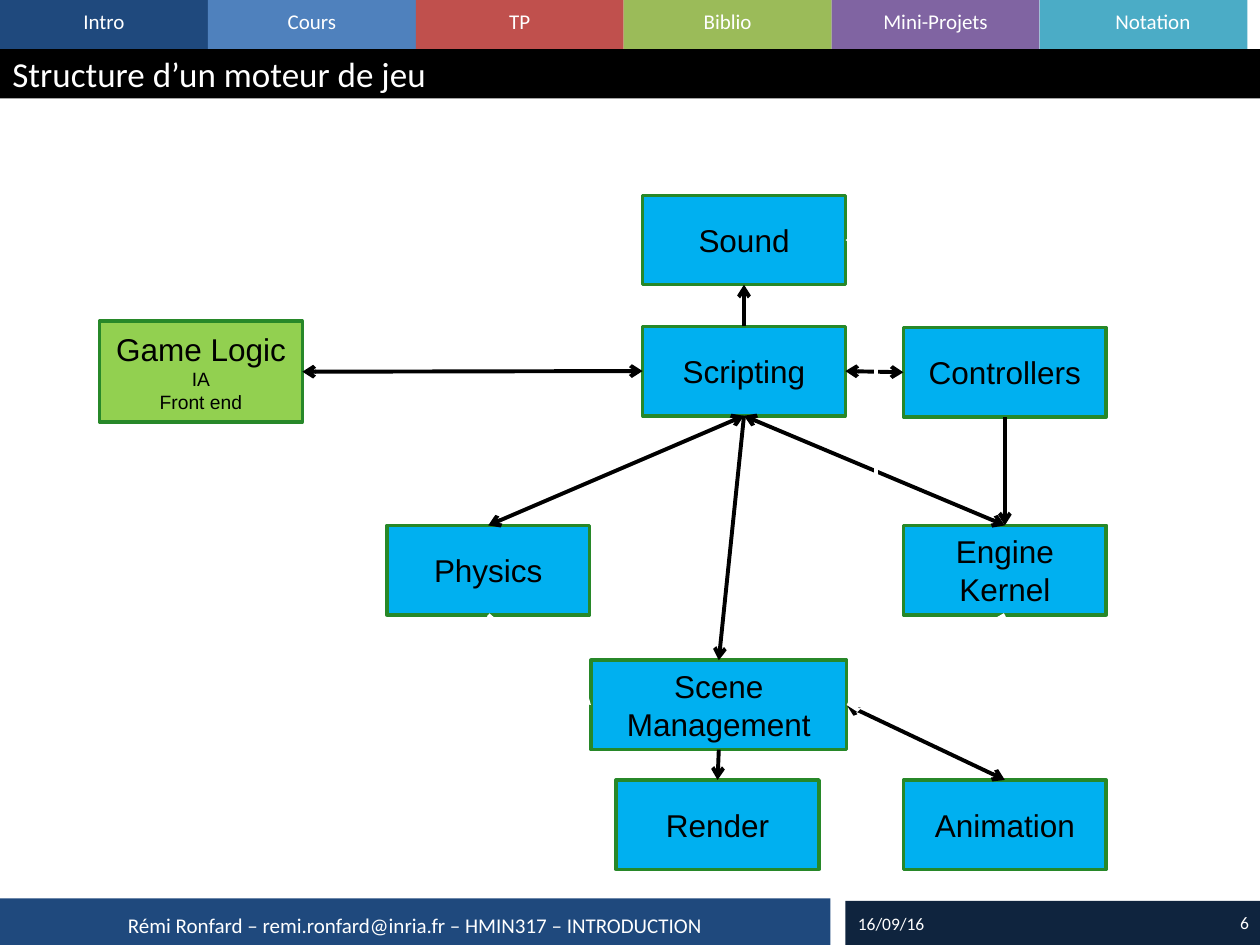
from lxml.etree import SubElement
from pptx import Presentation
from pptx.dml.color import RGBColor
from pptx.enum.shapes import MSO_CONNECTOR, MSO_SHAPE
from pptx.enum.text import MSO_ANCHOR, PP_ALIGN
from pptx.oxml.ns import qn
from pptx.util import Inches, Pt


def color(value):
    return RGBColor.from_string(value)


def write(shape, text, sizes=(12,), font="Calibri", ink="FFFFFF",
          align=PP_ALIGN.CENTER, anchor=MSO_ANCHOR.MIDDLE):
    frame = shape.text_frame
    frame.word_wrap = True
    frame.vertical_anchor = anchor
    for index, line in enumerate(text.split("\n")):
        paragraph = frame.paragraphs[0] if index == 0 else frame.add_paragraph()
        paragraph.text = line
        paragraph.alignment = align
        paragraph.font.name = font
        paragraph.font.size = Pt(sizes[min(index, len(sizes) - 1)])
        paragraph.font.color.rgb = color(ink)


presentation = Presentation()
presentation.slide_width = Inches(10)
presentation.slide_height = Inches(7.5)
slide = presentation.slides.add_slide(presentation.slide_layouts[6])
shapes = slide.shapes

TAB_WIDTH = 1.65
tabs = [
    ("Intro", "1F497D"),
    ("Cours", "4F81BD"),
    ("TP", "C0504D"),
    ("Biblio", "9BBB59"),
    ("Mini-Projets", "8064A2"),
    ("Notation", "4BACC6"),
]
bands = [(index * TAB_WIDTH, 0, TAB_WIDTH, 0.39, fill) for index, (_, fill) in enumerate(tabs)]
bands += [
    (0, 0.39, 10, 0.39, "000000"),
    (0, 7.13, 6.59, 0.37, "1F497D"),
    (6.71, 7.15, 3.29, 0.35, "0F243E"),
]
for left, top, width, height, fill in bands:
    band = shapes.add_shape(MSO_SHAPE.RECTANGLE, Inches(left), Inches(top), Inches(width), Inches(height))
    band.shadow.inherit = False
    band.fill.solid()
    band.fill.fore_color.rgb = color(fill)
    band.line.fill.background()

for index, (label, _) in enumerate(tabs):
    width = 1.8 if label == "Notation" else TAB_WIDTH
    box = shapes.add_textbox(Inches(index * TAB_WIDTH), Inches(0.02), Inches(width), Inches(0.3))
    write(box, label, anchor=MSO_ANCHOR.TOP)

captions = [
    ("Structure d’un moteur de jeu", 0, 0.39, 10, 0.39, 20, PP_ALIGN.LEFT),
    ("Rémi Ronfard – remi.ronfard@inria.fr – HMIN317 – INTRODUCTION", 0, 7.15, 6.59, 0.38, 12, PP_ALIGN.CENTER),
    ("16/09/16", 6.71, 7.14, 0.98, 0.38, 10, PP_ALIGN.LEFT),
    ("6", 7.68, 7.14, 2.33, 0.37, 10, PP_ALIGN.RIGHT),
]
for text, left, top, width, height, size, align in captions:
    box = shapes.add_textbox(Inches(left), Inches(top), Inches(width), Inches(height))
    write(box, text, sizes=(size,), align=align)

modules = [
    ("Game Logic\nIA\nFront end", 0.79, 2.55, 1.61, 0.8, "92D050"),
    ("Engine Kernel", 7.17, 4.17, 1.61, 0.71, "00B0F0"),
    ("Sound", 5.1, 1.55, 1.61, 0.71, "00B0F0"),
    ("Render", 4.89, 6.19, 1.61, 0.71, "00B0F0"),
    ("Scene Management", 4.69, 5.24, 2.03, 0.71, "00B0F0"),
    ("Controllers", 7.17, 2.6, 1.61, 0.71, "00B0F0"),
    ("Physics", 3.07, 4.17, 1.61, 0.71, "00B0F0"),
    ("Scripting", 5.1, 2.59, 1.61, 0.71, "00B0F0"),
    ("Animation", 7.17, 6.19, 1.61, 0.71, "00B0F0"),
]
boxes = {}
for text, left, top, width, height, fill in modules:
    box = shapes.add_shape(MSO_SHAPE.RECTANGLE, Inches(left), Inches(top), Inches(width), Inches(height))
    box.shadow.inherit = False
    box.fill.solid()
    box.fill.fore_color.rgb = color(fill)
    box.line.color.rgb = color("278829")
    box.line.width = Pt(2)
    write(box, text, sizes=(18, 11), font="Arial", ink="000000")
    boxes[text.split("\n")[0]] = box

TOP, LEFT, BOTTOM, RIGHT = range(4)
BOTH, END = ("headEnd", "tailEnd"), ("tailEnd",)
links = [
    ("Game Logic", RIGHT, "Scripting", LEFT, "000000", BOTH),
    ("Scripting", RIGHT, "Controllers", LEFT, "000000", BOTH),
    ("Controllers", BOTTOM, "Engine Kernel", TOP, "000000", END),
    ("Engine Kernel", TOP, "Scripting", BOTTOM, "000000", BOTH),
    ("Scripting", BOTTOM, "Physics", TOP, "000000", BOTH),
    ("Engine Kernel", BOTTOM, "Scene Management", RIGHT, "FFFFFF", END),
    ("Scene Management", BOTTOM, "Render", TOP, "000000", END),
    ("Scripting", BOTTOM, "Scene Management", TOP, "000000", END),
    ("Physics", BOTTOM, "Scene Management", LEFT, "FFFFFF", END),
    ("Scripting", TOP, "Sound", BOTTOM, "000000", END),
    ("Animation", TOP, "Scene Management", RIGHT, "000000", BOTH),
    ("Sound", RIGHT, "Scene Management", RIGHT, "FFFFFF", BOTH),
]
for source, source_side, target, target_side, ink, arrowheads in links:
    bent = source_side == target_side
    kind = MSO_CONNECTOR.ELBOW if bent else MSO_CONNECTOR.STRAIGHT
    connector = shapes.add_connector(kind, 0, 0, 0, 0)
    connector.begin_connect(boxes[source], source_side)
    connector.end_connect(boxes[target], target_side)
    connector.line.color.rgb = color(ink)
    connector.line.width = Pt(2.25)
    properties = connector._element.spPr
    for arrowhead in arrowheads:
        SubElement(properties.find(qn("a:ln")), qn("a:" + arrowhead), type="arrow")
    SubElement(properties, qn("a:effectLst"))
    if bent:
        bulge = int(Inches(0.25) / connector.width * 100000)
        guides = properties.find(qn("a:prstGeom")).get_or_add_avLst()
        SubElement(guides, qn("a:gd"), name="adj1", fmla=f"val {bulge}")

presentation.save("out.pptx")
